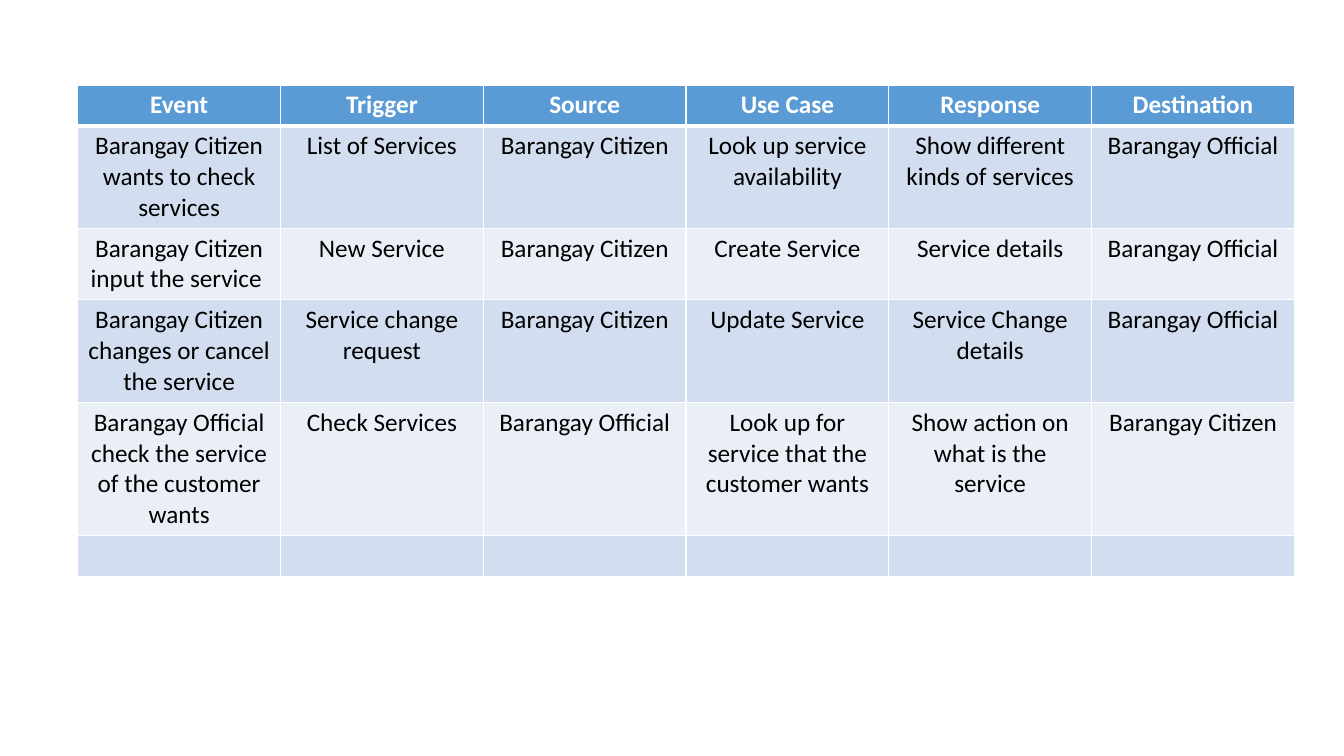
import lxml.etree
import pptx
import pptx.dml.color
import pptx.enum.text
import pptx.oxml.ns
import pptx.util

Cm, Pt = pptx.util.Cm, pptx.util.Pt
qn = pptx.oxml.ns.qn

# Content
HEAD = ("Event", "Trigger", "Source", "Use Case", "Response", "Destination")
EVENTS = [
    ("Barangay Citizen wants to check services", "List of Services",
     "Barangay Citizen", "Look up service availability",
     "Show different kinds of services", "Barangay Official"),
    ("Barangay Citizen input the service ", "New Service",
     "Barangay Citizen", "Create Service",
     "Service details", "Barangay Official"),
    ("Barangay Citizen changes or cancel the service", "Service change request",
     "Barangay Citizen", "Update Service",
     "Service Change details", "Barangay Official"),
    ("Barangay Official check the service of the customer wants", "Check Services",
     "Barangay Official", "Look up for service that the customer wants",
     "Show action on what is the service", "Barangay Citizen"),
    ("",) * len(HEAD),
]

# Theme and layout
THEME = {
    "font": "Calibri", "size": Pt(18),
    "head": "5B9BD5", "bands": ("D2DEEF", "EAEFF7"),
    "light": "FFFFFF", "dark": "000000",
    "thin": Pt(1), "thick": Pt(3),
}
LEFT, TOP = Cm(1.96), Cm(2.14)
WIDE, HIGH = Cm(5.11), Cm(1.03)


def color(code):
    return pptx.dml.color.RGBColor.from_string(code)


def border(cell, sides):
    """Draw light cell borders; sides maps L, R, T, B to a width."""
    props = cell._tc.get_or_add_tcPr()
    for spot, (side, width) in enumerate(sides.items()):
        line = lxml.etree.Element(qn("a:ln" + side), w=str(width))
        fill = lxml.etree.SubElement(line, qn("a:solidFill"))
        lxml.etree.SubElement(fill, qn("a:srgbClr"), val=THEME["light"])
        props.insert(spot, line)


def style(cell, text, row):
    head = row == 0
    cell.fill.solid()
    cell.fill.fore_color.rgb = color(
        THEME["head"] if head else THEME["bands"][(row - 1) % 2])
    thin, thick = THEME["thin"], THEME["thick"]
    border(cell, {"L": thin, "R": thin,
                  "T": thick if row == 1 else thin,
                  "B": thick if head else thin})
    cell.text = text
    para = cell.text_frame.paragraphs[0]
    para.alignment = pptx.enum.text.PP_ALIGN.CENTER
    para.font.name = THEME["font"]
    para.font.size = THEME["size"]
    para.font.bold = head
    para.font.color.rgb = color(THEME["light" if head else "dark"])


# Slide
deck = pptx.Presentation()
deck.slide_width, deck.slide_height = Cm(33.87), Cm(19.05)
slide = deck.slides.add_slide(deck.slide_layouts[6])

# Event table
rows = [HEAD] + EVENTS
table = slide.shapes.add_table(
    len(rows), len(HEAD), LEFT, TOP, WIDE * len(HEAD), HIGH * len(rows)).table
for col in table.columns:
    col.width = WIDE
for r, texts in enumerate(rows):
    table.rows[r].height = HIGH
    for c, text in enumerate(texts):
        style(table.cell(r, c), text, r)

deck.save("out.pptx")
